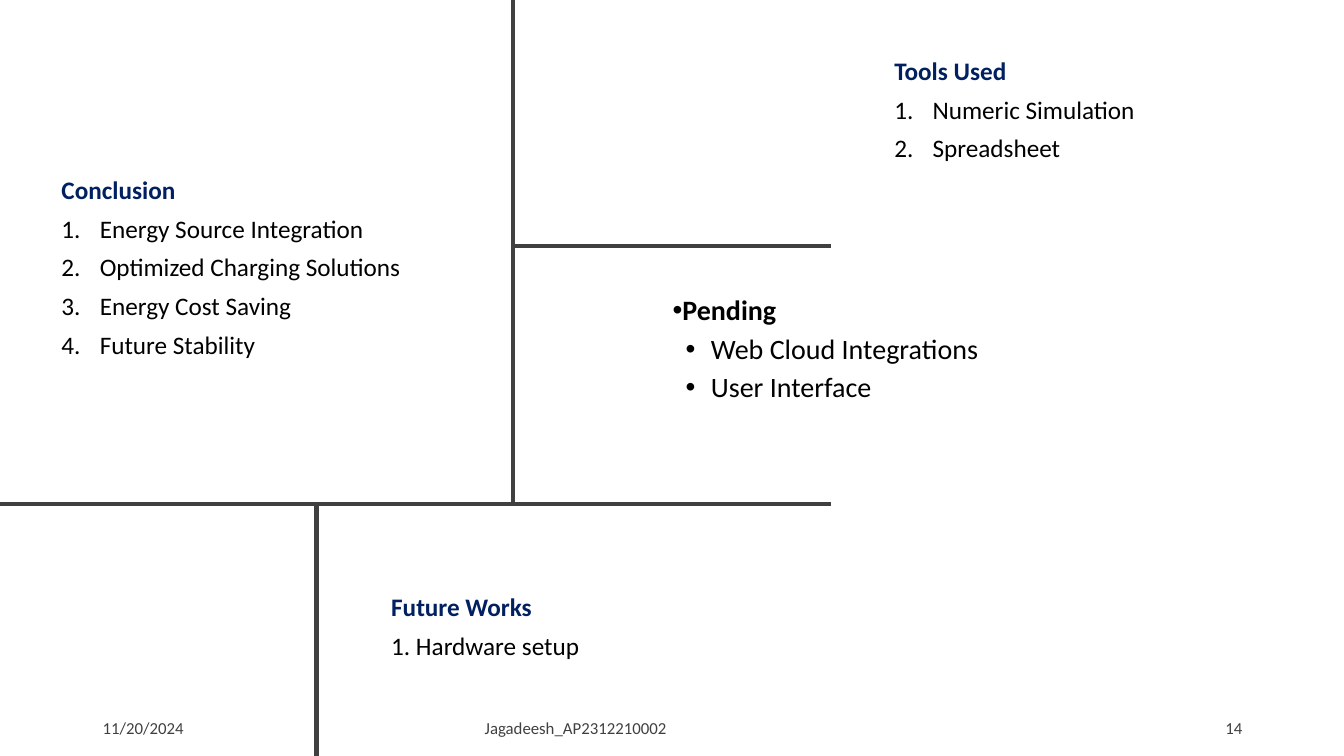
"""Build a closing slide with four lists set between dividing lines."""
from lxml.etree import SubElement
from pptx import Presentation
from pptx.dml.color import RGBColor
from pptx.enum.shapes import MSO_CONNECTOR as Connector
from pptx.enum.text import MSO_ANCHOR as Anchor, MSO_AUTO_SIZE as AutoSize, PP_ALIGN as Align
from pptx.oxml.ns import qn
from pptx.util import Inches, Pt

FONT = "Calibri"
NAVY = RGBColor(0x00, 0x20, 0x60)
BLACK = RGBColor(0x00, 0x00, 0x00)
GRAY = RGBColor(0x40, 0x40, 0x40)

DIVIDERS = [
    (5.09, 0, 5.09, 5),
    (5.09, 2.44, 8.24, 2.44),
    (0, 5, 8.24, 5),
    (3.14, 5, 3.14, 7.5),
]
NUMBERED_LISTS = [
    (1, (0.51, 1.68, 5.48, 1.95), "Conclusion", [
        "Energy Source Integration",
        "Optimized Charging Solutions",
        "Energy Cost Saving",
        "Future Stability",
    ]),
    (2, (8.77, 0.5, 5.48, 1.18), "Tools Used", ["Numeric Simulation", "Spreadsheet"]),
]
FOOTERS = [
    (0.92, 2, "11/20/2024", Align.LEFT),
    (3.46, 4.5, "Jagadeesh_AP2312210002", Align.CENTER),
    (9.42, 3, "14", Align.RIGHT),
]


def add_divider(slide, start_x, start_y, end_x, end_y):
    """Draw one thick gray line without a shadow."""
    ends = [Inches(value) for value in (start_x, start_y, end_x, end_y)]
    line = slide.shapes.add_connector(Connector.STRAIGHT, *ends)
    line.line.color.rgb = GRAY
    line.line.width = Pt(3)
    SubElement(line._element.spPr, qn("a:effectLst"))


def place_list(slide, index, area):
    """Move a body placeholder to its area and return its text frame."""
    box = slide.placeholders[index]
    box.left, box.top, box.width, box.height = [Inches(value) for value in area]
    frame = box.text_frame
    frame.word_wrap = True
    frame.auto_size = AutoSize.NONE
    frame.vertical_anchor = Anchor.TOP
    return frame


def set_bullet(para, margin, indent, bullet):
    """Give a paragraph its indents and a dot, a number or no bullet."""
    props = para._p.get_or_add_pPr()
    props.set("marL", str(Inches(margin)))
    props.set("indent", str(Inches(indent)))
    if bullet is None:
        SubElement(props, qn("a:buNone"))
    elif bullet == "number":
        SubElement(props, qn("a:buFont"), typeface=FONT)
        SubElement(props, qn("a:buAutoNum"), type="arabicPeriod")
    else:
        SubElement(props, qn("a:buFont"), typeface="Arial")
        SubElement(props, qn("a:buChar"), char=bullet)


def add_text(para, text, size, color, bold=False, align=Align.LEFT, spacing=1.0):
    """Write one run into a paragraph and format both."""
    para.alignment = align
    para.line_spacing = spacing
    para.space_before = Pt(0)
    para.space_after = Pt(6)
    span = para.add_run()
    span.text = text
    span.font.name = FONT
    span.font.size = Pt(size)
    span.font.bold = bold
    span.font.color.rgb = color


def fill_list(frame, heading, items, bullet):
    """Write a navy heading and its items."""
    para = frame.paragraphs[0]
    set_bullet(para, 0, 0, None)
    add_text(para, heading, 18, NAVY, bold=True)
    margin = 0.38 if bullet else 0
    for item in items:
        para = frame.add_paragraph()
        set_bullet(para, margin, -margin, bullet)
        add_text(para, item, 18, BLACK)


def fill_pending(frame, heading, items):
    """Write the bulleted list of pending work."""
    para = frame.paragraphs[0]
    set_bullet(para, 0, -0.25, "•")
    add_text(para, heading, 20, BLACK, bold=True, spacing=0.9)
    for item in items:
        para = frame.add_paragraph()
        set_bullet(para, 0.38, -0.25, "•")
        add_text(para, item, 20, BLACK, spacing=0.9)


def add_footer(slide, left, width, text, align):
    """Add one small text along the bottom edge."""
    box = slide.shapes.add_textbox(Inches(left), Inches(7.02), Inches(width), Inches(0.4))
    frame = box.text_frame
    frame.word_wrap = True
    frame.vertical_anchor = Anchor.MIDDLE
    add_text(frame.paragraphs[0], text, 12, GRAY, align=align)


def main():
    """Build and save the deck."""
    deck = Presentation()
    deck.slide_width, deck.slide_height = Inches(13.33), Inches(7.5)
    page = deck.slides.add_slide(deck.slide_layouts.get_by_name("Comparison"))
    title = page.shapes.title._element
    title.getparent().remove(title)

    for divider in DIVIDERS:
        add_divider(page, *divider)
    for index, area, heading, items in NUMBERED_LISTS:
        fill_list(place_list(page, index, area), heading, items, "number")
    future = place_list(page, 3, (3.78, 5.82, 5.48, 0.79))
    fill_list(future, "Future Works", ["1. Hardware setup"], None)
    pending = place_list(page, 4, (6.57, 2.89, 3.65, 2.17))
    fill_pending(pending, "Pending", ["Web Cloud Integrations", "User Interface"])
    for footer in FOOTERS:
        add_footer(page, *footer)

    deck.save("out.pptx")


if __name__ == "__main__":
    main()
